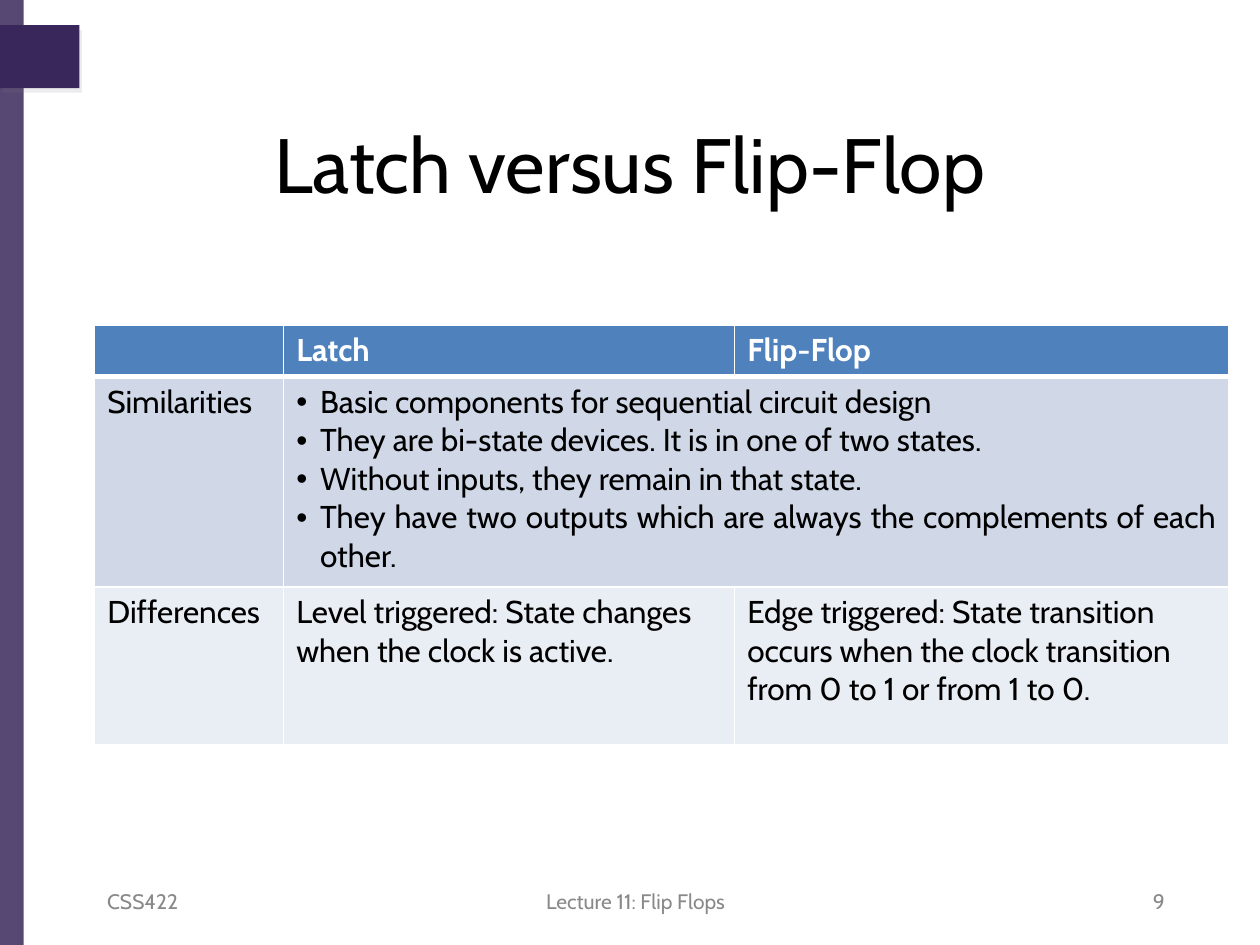
import pptx
import pptx.dml.color
import pptx.enum.shapes
import pptx.enum.text
import pptx.oxml
import pptx.oxml.ns
import pptx.util

Cm = pptx.util.Cm
Pt = pptx.util.Pt
ALIGN = pptx.enum.text.PP_ALIGN
MIDDLE = pptx.enum.text.MSO_ANCHOR.MIDDLE
NAMESPACE = pptx.oxml.ns.nsdecls("a")

COLORS = {
    "purple": "39275B",
    "shadow": "808080",
    "black": "000000",
    "white": "FFFFFF",
    "gray": "898989",
    "header": "4F81BD",
    "band_dark": "D0D8E8",
    "band_light": "E9EDF4",
}


class SlideBuilder:
    """Holds the text style and the current slide."""

    def __init__(self, slide, font="Cabin"):
        self.slide = slide
        self.font = font

    def color(self, name):
        return pptx.dml.color.RGBColor.from_string(COLORS[name])

    def add_text(self, paragraph, text, size, color, bold=False, align=None):
        paragraph.alignment = align
        run = paragraph.add_run()
        run.text = text
        run.font.name = self.font
        run.font.size = Pt(size)
        run.font.bold = bold
        run.font.color.rgb = self.color(color)

    def title(self, text, left, top, width, height):
        shape = self.slide.shapes.title
        shape.left, shape.top = Cm(left), Cm(top)
        shape.width, shape.height = Cm(width), Cm(height)
        frame = shape.text_frame
        frame.vertical_anchor = MIDDLE
        self.add_text(frame.paragraphs[0], text, 44, "black", align=ALIGN.CENTER)

    def bar(self, left, top, width, height, opacity=None, shadow=False):
        shape = self.slide.shapes.add_shape(
            pptx.enum.shapes.MSO_SHAPE.RECTANGLE,
            Cm(left), Cm(top), Cm(width), Cm(height))
        shape.shadow.inherit = False
        shape.fill.solid()
        shape.fill.fore_color.rgb = self.color("purple")
        shape.line.fill.background()
        properties = shape._element.spPr
        if opacity:
            fill_color = properties.find(".//" + pptx.oxml.ns.qn("a:srgbClr"))
            fill_color.append(pptx.oxml.parse_xml(
                f'<a:alpha {NAMESPACE} val="{opacity * 1000}"/>'))
        if shadow:
            effects = properties.find(pptx.oxml.ns.qn("a:effectLst"))
            effects.append(pptx.oxml.parse_xml(
                f'<a:outerShdw {NAMESPACE} blurRad="0" dist="{Pt(3)}" dir="3600000">'
                f'<a:srgbClr val="{COLORS["shadow"]}"><a:alpha val="15000"/></a:srgbClr>'
                f'</a:outerShdw>'))

    def footer(self, text, left, width, align):
        box = self.slide.shapes.add_textbox(Cm(left), Cm(17.65), Cm(width), Cm(1.02))
        frame = box.text_frame
        frame.word_wrap = True
        frame.vertical_anchor = MIDDLE
        self.add_text(frame.paragraphs[0], text, 12, "gray", align=align)

    def table(self, left, top, widths, heights):
        frame = self.slide.shapes.add_table(
            len(heights), len(widths), Cm(left), Cm(top),
            Cm(sum(widths)), Cm(sum(heights)))
        table = frame.table
        for column, width in zip(table.columns, widths):
            column.width = Cm(width)
        for row, height in zip(table.rows, heights):
            row.height = Cm(height)
        return table

    def cell(self, cell, fill, borders):
        properties = cell._tc.get_or_add_tcPr()
        for side, width in borders.items():
            properties.append(pptx.oxml.parse_xml(
                f'<a:ln{side} {NAMESPACE} w="{Pt(width)}"><a:solidFill>'
                f'<a:srgbClr val="{COLORS["white"]}"/></a:solidFill></a:ln{side}>'))
        cell.fill.solid()
        cell.fill.fore_color.rgb = self.color(fill)

    def bullet(self, paragraph):
        properties = paragraph._p.get_or_add_pPr()
        properties.set("marL", str(Cm(0.48)))
        properties.set("indent", str(-Cm(0.48)))
        properties.append(pptx.oxml.parse_xml(
            f'<a:buFont {NAMESPACE} typeface="Arial"/>'))
        properties.append(pptx.oxml.parse_xml(f'<a:buChar {NAMESPACE} char="•"/>'))


def main():
    presentation = pptx.Presentation()
    presentation.slide_width, presentation.slide_height = Cm(25.4), Cm(19.05)
    builder = SlideBuilder(
        presentation.slides.add_slide(presentation.slide_layouts[5]))

    # Side decoration
    builder.bar(0, 0, 0.48, 19.05, opacity=85)
    builder.bar(0, 0.51, 1.6, 1.27, shadow=True)

    # Title
    builder.title("Latch versus Flip-Flop", 1.27, 2.11, 22.86, 2.34)

    # Comparison table: a list in a cell becomes bullets
    rows = [
        ["", "Latch", "Flip-Flop"],
        ["Similarities", [
            "Basic components for sequential circuit design",
            "They are bi-state devices. It is in one of two states.",
            "Without inputs, they remain in that state.",
            "They have two outputs which are always the complements of each other.",
        ], ""],
        ["Differences",
         "Level triggered: State changes when the clock is active.",
         "Edge triggered: State transition occurs when the clock transition "
         "from 0 to 1 or from 1 to 0."],
    ]
    fills = ["header", "band_dark", "band_light"]
    table = builder.table(1.91, 6.55, [3.81, 9.09, 9.96], [1.04, 4.24, 3.18])
    table.cell(1, 1).merge(table.cell(1, 2))
    for row_index, (texts, fill) in enumerate(zip(rows, fills)):
        is_header = row_index == 0
        borders = {"L": 1, "R": 1, "T": 3 if row_index == 1 else 1,
                   "B": 3 if is_header else 1}
        for column_index, content in enumerate(texts):
            cell = table.cell(row_index, column_index)
            builder.cell(cell, fill, borders)
            is_list = isinstance(content, list)
            for index, text in enumerate(content if is_list else [content]):
                if not text:
                    continue
                frame = cell.text_frame
                paragraph = frame.add_paragraph() if index else frame.paragraphs[0]
                builder.add_text(paragraph, text, 18, "white" if is_header else "black",
                                 bold=is_header, align=ALIGN.JUSTIFY if is_list else None)
                if is_list:
                    builder.bullet(paragraph)

    # Footer
    builder.footer("CSS422", 1.91, 5.92, ALIGN.LEFT)
    builder.footer("Lecture 11: Flip Flops", 8.79, 8.05, ALIGN.CENTER)
    builder.footer("9", 17.81, 5.92, ALIGN.RIGHT)

    presentation.save("out.pptx")


if __name__ == "__main__":
    main()
